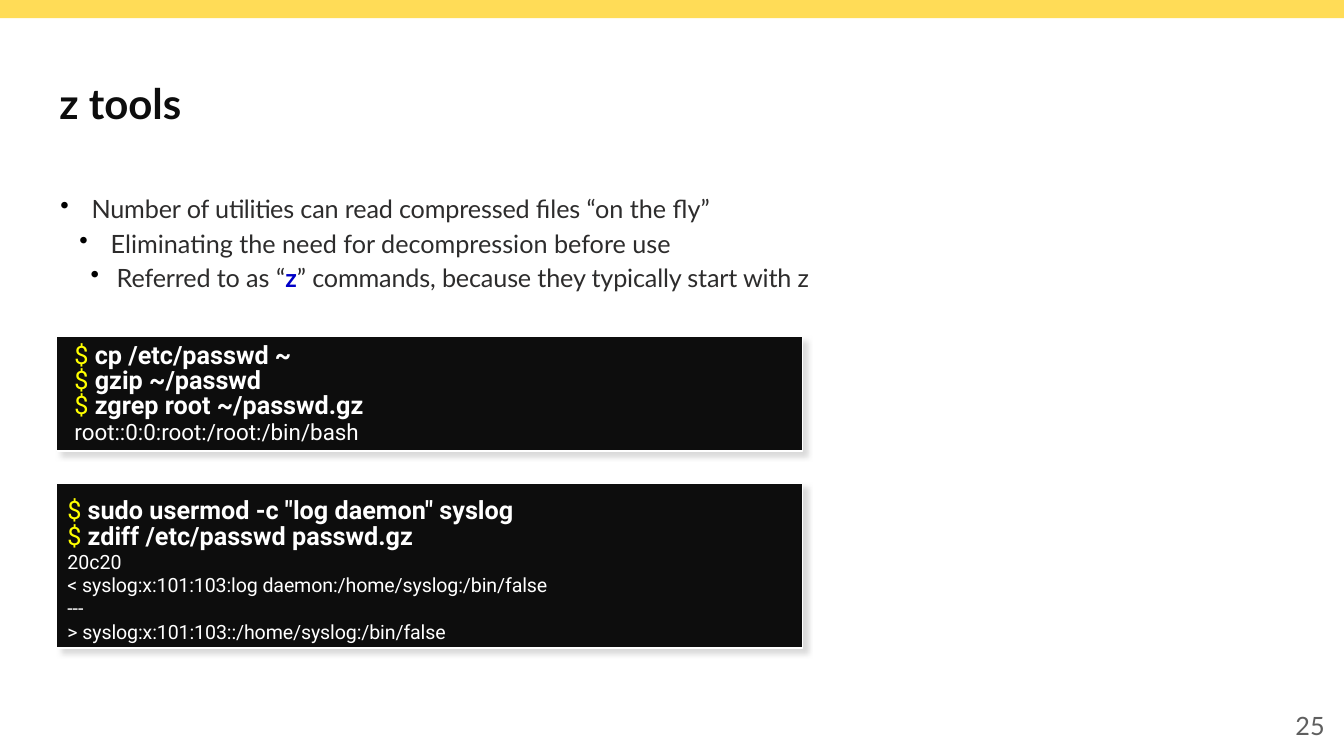
from lxml import etree
from pptx import Presentation
from pptx.dml.color import RGBColor
from pptx.enum import shapes, text
from pptx.oxml import parse_xml
from pptx.oxml.ns import nsdecls, qn
from pptx.util import Pt

GOLD = RGBColor(0xFF, 0xDC, 0x57)
INK = RGBColor(0x0D, 0x0D, 0x0D)
TEXT = RGBColor(0x2D, 0x2C, 0x2C)
BLUE = RGBColor(0x00, 0x00, 0xC7)
GREY = RGBColor(0x5F, 0x5F, 0x5F)
WHITE = RGBColor(0xFF, 0xFF, 0xFF)
YELLOW = RGBColor(0xFF, 0xFF, 0x00)


def put(para, words, font, size, color, bold=False, track=0):
    """Add one run; track is letter spacing in hundredths of a point."""
    run = para.add_run()
    run.text = words
    run.font.name = font
    run.font.size = Pt(size)
    run.font.color.rgb = color
    run.font.bold = bold
    if track:
        run.font._element.set("spc", str(track))


def box(left, top, width, height, anchor=text.MSO_ANCHOR.TOP):
    """Add a wrapping text box and return its text frame."""
    frame = slide.shapes.add_textbox(Pt(left), Pt(top), Pt(width), Pt(height)).text_frame
    frame.word_wrap = True
    frame.vertical_anchor = anchor
    return frame


deck = Presentation()
deck.slide_width, deck.slide_height = Pt(960), Pt(540)
slide = deck.slides.add_slide(deck.slide_layouts[6])

band = slide.shapes.add_shape(shapes.MSO_SHAPE.RECTANGLE, 0, 0, Pt(960), Pt(13))
band.shadow.inherit = False
band.fill.solid()
band.fill.fore_color.rgb = GOLD
band.line.fill.background()

title = box(35.3, 39.6, 890, 67.7, text.MSO_ANCHOR.MIDDLE)
put(title.paragraphs[0], "z tools", "Lato", 30, INK, True)

# Bullets: left margin, hanging indent, space before, runs (words, tracking)
points = [
    (23, 22.3, 0, [("Number ", -10), ("of ", -20),
                   ("utilities can read compressed files ", -10), ("“on the fly”", 0)]),
    (36.7, 22.3, 5.7, [("Eliminating the need for decompression before use", 0)]),
    (41, 18.7, 4.9, [("Referred ", -10), ("to ", -20), ("as “", 0), ("z", 0), ("” ", 0),
                     ("commands, because they typically start with z", -10)]),
]
body = box(35.3, 136.8, 890, 342.7)
for i, (margin, hang, gap, runs) in enumerate(points):
    para = body.paragraphs[0] if i == 0 else body.add_paragraph()
    props = para._p.get_or_add_pPr()
    props.set("marL", str(Pt(margin)))
    props.set("indent", str(-Pt(hang)))
    tint = etree.SubElement(props, qn("a:buClr"))
    etree.SubElement(tint, qn("a:srgbClr"), val="000000")
    etree.SubElement(props, qn("a:buChar"), char="•")
    para.level = min(i, 1)
    para.line_spacing = 0.9
    if gap:
        para.space_before = Pt(gap)
    for words, track in runs:
        key = words == "z"
        put(para, words, "Lato", 18, BLUE if key else TEXT, key, track)

# Terminals: top, height, indent, output size, lines (words, line height)
terms = [
    (240.5, 81.8, 5.8, 16, [
        ("$ cp /etc/passwd ~", 16.3),
        ("$ gzip ~/passwd", 17.9),
        ("$ zgrep root ~/passwd.gz", 17.9),
        ("root::0:0:root:/root:/bin/bash", 17.9)]),
    (345.6, 117.4, 0.7, 14, [
        ('$ sudo usermod -c "log daemon" syslog', None),
        ("$ zdiff /etc/passwd passwd.gz", 19.1),
        ("20c20", 16.4),
        ("< syslog:x:101:103:log daemon:/home/syslog:/bin/false", 16.3),
        ("---", 16.3),
        ("> syslog:x:101:103::/home/syslog:/bin/false", 16.9)]),
]
for top, height, margin, size, lines in terms:
    term = slide.shapes.add_shape(
        shapes.MSO_SHAPE.RECTANGLE, Pt(40.3), Pt(top), Pt(532.8), Pt(height))
    term.fill.solid()
    term.fill.fore_color.rgb = INK
    term.line.color.rgb = WHITE
    term.line.width = Pt(1)
    term._element.spPr.append(parse_xml(
        f'<a:effectLst {nsdecls("a")}><a:outerShdw blurRad="{Pt(4)}" dist="{Pt(4)}" '
        'dir="2700000" algn="tl" rotWithShape="0"><a:srgbClr val="DADADA"/>'
        '</a:outerShdw></a:effectLst>'))
    frame = term.text_frame
    frame.word_wrap = True
    frame.vertical_anchor = text.MSO_ANCHOR.TOP
    frame.margin_left = frame.margin_right = frame.margin_top = Pt(7.2)
    frame.margin_bottom = Pt(4)
    for i, (words, pitch) in enumerate(lines):
        para = frame.paragraphs[0] if i == 0 else frame.add_paragraph()
        para._p.get_or_add_pPr().set("marL", str(Pt(margin)))
        para.alignment = text.PP_ALIGN.LEFT
        if pitch:
            para.line_spacing = Pt(pitch)
        if words.startswith("$ "):
            put(para, "$ ", "Roboto", 18, YELLOW)
            put(para, words[2:], "Roboto", 18, WHITE, True)
        elif words[:2] in ("< ", "> "):
            put(para, words[:2], "Roboto", size, WHITE)
            put(para, words[2:], "Roboto", size, WHITE, track=-10)
        else:
            put(para, words, "Roboto", size, WHITE)

page = box(737.3, 504, 216, 28.8, text.MSO_ANCHOR.MIDDLE)
page.paragraphs[0].alignment = text.PP_ALIGN.RIGHT
put(page.paragraphs[0], "25", "Lato", 18, GREY)

deck.save("out.pptx")
